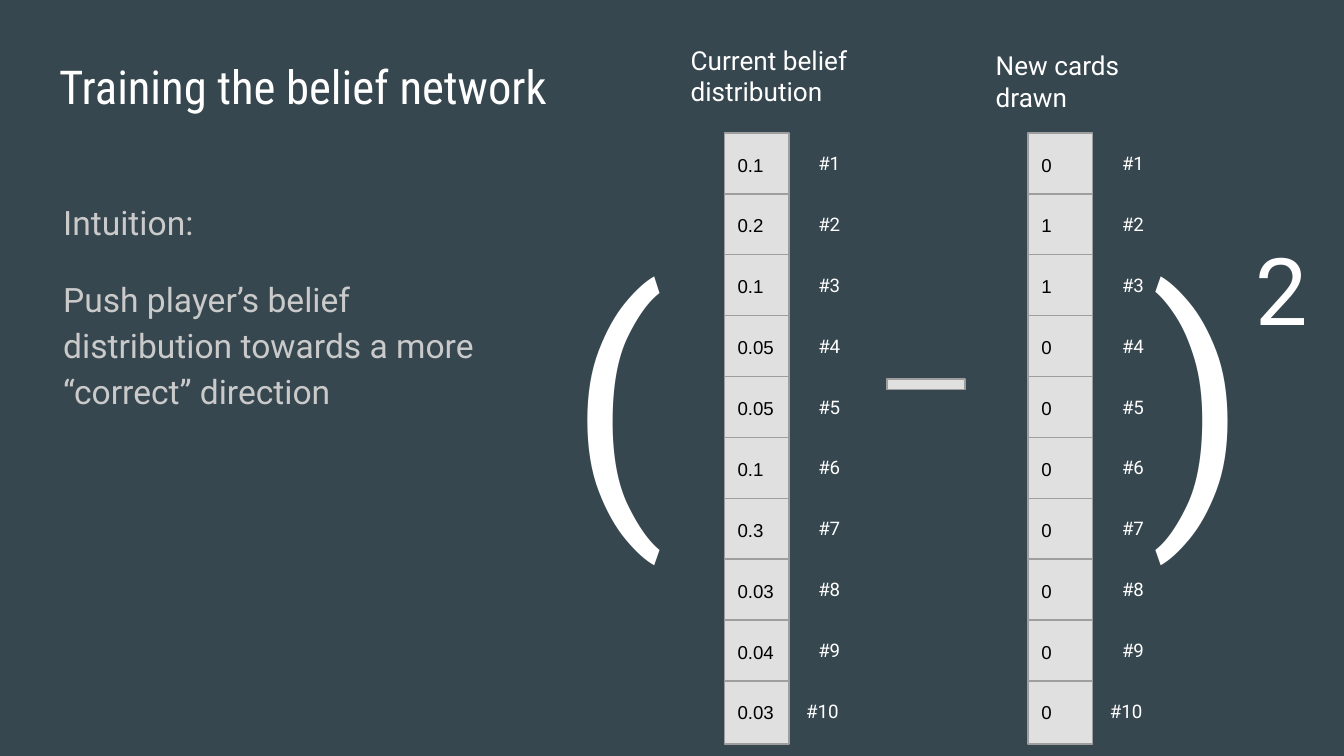
from dataclasses import dataclass

from pptx import Presentation
from pptx.dml.color import RGBColor
from pptx.enum.shapes import MSO_SHAPE
from pptx.enum.text import MSO_ANCHOR, MSO_AUTO_SIZE, PP_ALIGN
from pptx.oxml.ns import qn
from pptx.util import Inches, Pt
from lxml import etree

RECTANGLE = MSO_SHAPE.RECTANGLE
TOP, MIDDLE, BOTTOM = MSO_ANCHOR.TOP, MSO_ANCHOR.MIDDLE, MSO_ANCHOR.BOTTOM
NO_AUTOFIT = MSO_AUTO_SIZE.NONE
LEFT = PP_ALIGN.LEFT

WIDTH, HEIGHT = Inches(10), Inches(5.625)
COLUMNS, ROWS = 100, 56.25


@dataclass(frozen=True)
class Theme:
    """Colours, fonts and type sizes of the deck."""
    background: str = "37474F"
    light: str = "FFFFFF"
    muted: str = "CACACA"
    dark: str = "000000"
    cell: str = "E0E0E0"
    outline: str = "9E9E9E"
    title_font: str = "Roboto Condensed"
    text_font: str = "Roboto"
    cell_font: str = "Arial"
    title: int = 25
    body: int = 18
    heading: int = 14
    small: int = 10
    bracket: int = 150
    exponent: int = 50


class SlideBuilder:
    """Places styled elements on one slide, measured in grid columns and rows."""

    def __init__(self, deck, theme):
        """Start a title-and-content slide with the theme background."""
        self.theme = theme
        self.slide = deck.slides.add_slide(deck.slide_layouts[1])
        fill = self.slide.background.fill
        fill.solid()
        fill.fore_color.rgb = RGBColor.from_string(theme.background)

    def place(self, column, row, columns, rows):
        """Turn grid units into left, top, width and height."""
        across, down = WIDTH / COLUMNS, HEIGHT / ROWS
        return [round(size) for size in
                (column * across, row * down, columns * across, rows * down)]

    def group(self):
        """Return the shape collection of a new group."""
        return self.slide.shapes.add_group_shape().shapes

    def fill_text(self, frame, lines, size, font, color, anchor=TOP):
        """Fill a text frame with one styled run per paragraph."""
        frame.word_wrap = True
        frame.auto_size = NO_AUTOFIT
        frame.vertical_anchor = anchor
        frame.margin_left = frame.margin_right = Inches(0.1)
        frame.margin_top = frame.margin_bottom = Inches(0.1)
        for index, line in enumerate(lines):
            paragraph = frame.add_paragraph() if index else frame.paragraphs[0]
            paragraph.alignment = LEFT
            run = paragraph.add_run()
            run.text = line
            run.font.size = Pt(size)
            run.font.name = font
            run.font.color.rgb = RGBColor.from_string(color)

    def placeholder(self, index, area, lines, size, font, color, anchor=TOP):
        """Move a template placeholder and fill in its text."""
        holder = self.slide.placeholders[index]
        holder.left, holder.top, holder.width, holder.height = self.place(*area)
        self.fill_text(holder.text_frame, lines, size, font, color, anchor)
        return holder.text_frame.paragraphs

    def title(self, area, text):
        """Set the slide title."""
        self.placeholder(0, area, [text], self.theme.title,
                         self.theme.title_font, self.theme.light, BOTTOM)

    def body(self, area, lines):
        """Set the body paragraphs without bullets."""
        paragraphs = self.placeholder(1, area, lines, self.theme.body,
                                      self.theme.text_font, self.theme.muted)
        for index, paragraph in enumerate(paragraphs):
            paragraph.line_spacing = 1.15
            paragraph.space_before = paragraph.space_after = Pt(16 if index else 0)
            properties = paragraph._p.get_or_add_pPr()
            properties.set("marL", "0")
            properties.set("indent", "0")
            etree.SubElement(properties, qn("a:buNone"))

    def text(self, shapes, area, words, size):
        """Add a light text box."""
        box = shapes.add_textbox(*self.place(*area))
        self.fill_text(box.text_frame, [words], size,
                       self.theme.text_font, self.theme.light)
        return box.text_frame.paragraphs[0]

    def cell(self, shapes, area, value=None):
        """Add an outlined rectangle, with a value if given."""
        box = shapes.add_shape(RECTANGLE, *self.place(*area))
        box.shadow.inherit = False
        box.fill.solid()
        box.fill.fore_color.rgb = RGBColor.from_string(self.theme.cell)
        box.line.color.rgb = RGBColor.from_string(self.theme.outline)
        box.line.width = Pt(0.75)
        if value is not None:
            self.fill_text(box.text_frame, [value], self.theme.small,
                           self.theme.cell_font, self.theme.dark, MIDDLE)

    def vector(self, column, values):
        """Add a grouped stack of values with numbered labels beside it."""
        shapes = self.group()
        for index, value in enumerate(values):
            row = 9.9 + index * 4.53
            label = f"#{index + 1}"
            extra = len(label) - 2
            self.cell(shapes, (column, row, 4.8, 4.7), value)
            self.text(shapes, (column + 6 - 0.9 * extra, row + 0.4,
                               4.8 + 1.3 * extra, 3.9), label, self.theme.small)

    def squared_brackets(self, area, gap, exponent_area):
        """Add a pair of brackets set apart by a tab stop, with exponent 2."""
        shapes = self.group()
        brackets = self.text(shapes, area, "(\t)", self.theme.bracket)
        stops = etree.SubElement(brackets._p.get_or_add_pPr(), qn("a:tabLst"))
        position = round(gap * WIDTH / COLUMNS)
        etree.SubElement(stops, qn("a:tab"), pos=str(position), algn="l")
        self.text(shapes, exponent_area, "2", self.theme.exponent)


def main():
    """Build and save the slide."""
    deck = Presentation()
    deck.slide_width, deck.slide_height = WIDTH, HEIGHT
    theme = Theme()
    page = SlideBuilder(deck, theme)

    page.title((3.4, 3.2, 43.1, 6.3), "Training the belief network")
    page.body((3.7, 13.6, 35, 34.6), [
        "Intuition:",
        "Push player’s belief distribution towards a more “correct” direction",
    ])

    drawn_cards = ["0", "1", "1"] + ["0"] * 7
    beliefs = ["0.1", "0.2", "0.1", "0.05", "0.05",
               "0.1", "0.3", "0.03", "0.04", "0.03"]
    page.vector(76.5, drawn_cards)
    page.vector(53.9, beliefs)

    shapes = page.slide.shapes
    page.text(shapes, (50.4, 2.3, 14.7, 6.9),
              "Current belief distribution", theme.heading)
    page.text(shapes, (73.1, 2.7, 11.2, 6.1), "New cards drawn", theme.heading)

    page.cell(shapes, (66, 28.2, 5.8, 0.8))
    page.squared_brackets((41.4, 15.5, 58.6, 32.5), 43.2, (92.4, 16.3, 6.9, 6.3))

    deck.save("out.pptx")


if __name__ == "__main__":
    main()
